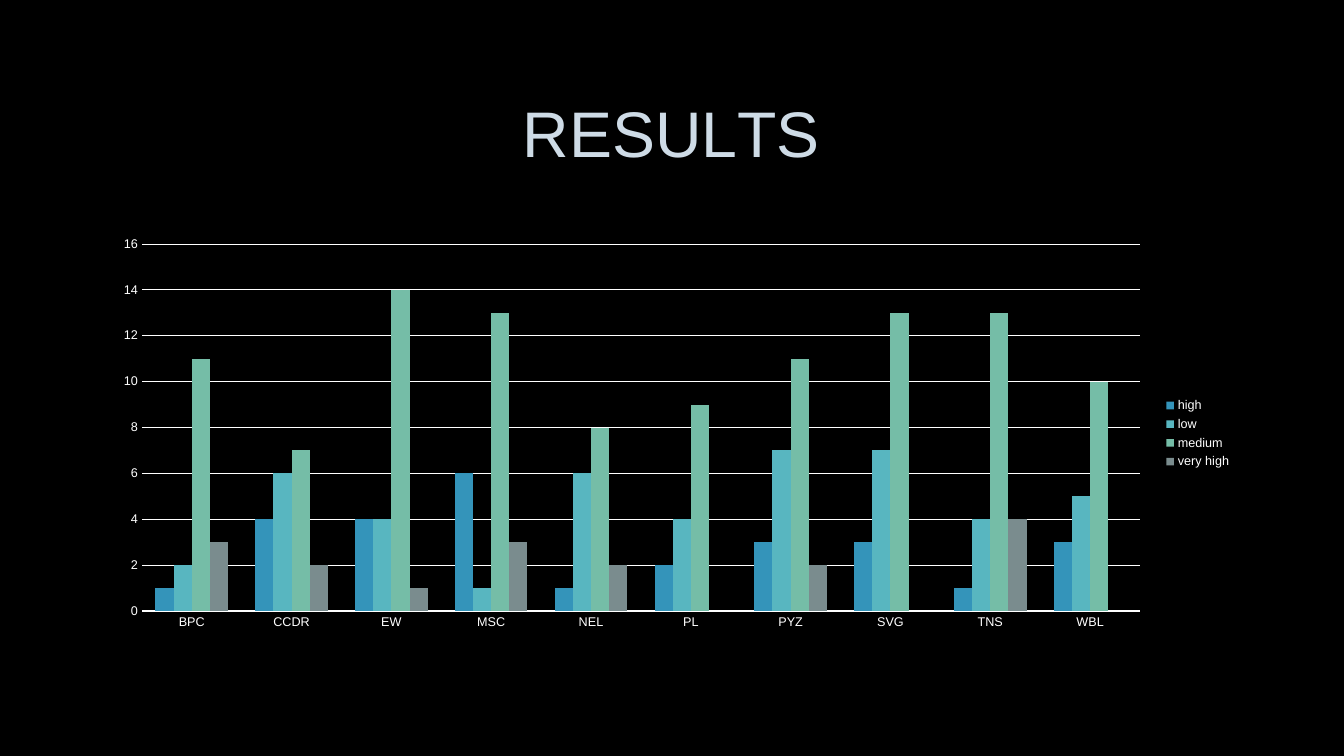
from lxml.etree import SubElement
from pptx import Presentation
from pptx.chart.data import CategoryChartData
from pptx.dml.color import RGBColor
from pptx.enum.chart import XL_CHART_TYPE, XL_LEGEND_POSITION, XL_TICK_MARK
from pptx.enum.text import MSO_ANCHOR, PP_ALIGN
from pptx.oxml.ns import qn
from pptx.util import Cm, Pt

BLACK = RGBColor(0x00, 0x00, 0x00)
WHITE = RGBColor(0xFF, 0xFF, 0xFF)
PALE_BLUE = RGBColor(0xCE, 0xDB, 0xE6)
BLUE = RGBColor(0x34, 0x94, 0xBA)
TEAL = RGBColor(0x58, 0xB6, 0xC0)
GREEN = RGBColor(0x75, 0xBD, 0xA7)
GREY = RGBColor(0x7A, 0x8C, 0x8E)

SITES = ["BPC", "CCDR", "EW", "MSC", "NEL", "PL", "PYZ", "SVG", "TNS", "WBL"]
LEVELS = [
    ("high", BLUE, [1, 4, 4, 6, 1, 2, 3, 3, 1, 3]),
    ("low", TEAL, [2, 6, 4, 1, 6, 4, 7, 7, 4, 5]),
    ("medium", GREEN, [11, 7, 14, 13, 8, 9, 11, 13, 13, 10]),
    ("very high", GREY, [3, 2, 1, 3, 2, None, 2, None, 4, None]),
]
LEFT, WIDTH = Cm(2.54), Cm(28.75)


class SlideBuilder:
    def __init__(self, slide, font_name="Arial"):
        self.slide = slide
        self.font_name = font_name
        fill = slide.background.fill
        fill.solid()
        fill.fore_color.rgb = BLACK

    def style_font(self, font, size, color):
        font.name = self.font_name
        font.size = Pt(size)
        font.color.rgb = color

    def title(self, pieces, top, height):
        """Fill the title from (text, letter spacing in points) pieces."""
        shape = self.slide.shapes.title
        shape.left, shape.top, shape.width, shape.height = LEFT, top, WIDTH, height
        shape.text_frame.vertical_anchor = MSO_ANCHOR.MIDDLE
        paragraph = shape.text_frame.paragraphs[0]
        paragraph.alignment = PP_ALIGN.CENTER
        paragraph.line_spacing = 0.9
        self.style_font(paragraph.font, 46, PALE_BLUE)
        for text, spacing in pieces:
            run = paragraph.add_run()
            run.text = text
            run.font._element.set("spc", str(spacing * 100))

    def column_chart(self, categories, levels, top, height):
        data = CategoryChartData()
        data.categories = categories
        for name, _, values in levels:
            data.add_series(name, values)
        chart = self.slide.shapes.add_chart(
            XL_CHART_TYPE.COLUMN_CLUSTERED, LEFT, top, WIDTH, height, data
        ).chart
        chart.has_title = False
        self.style_font(chart.font, 10, WHITE)

        plot = chart.plots[0]
        plot.gap_width = 150
        plot.overlap = 0
        plot.vary_by_categories = False
        for series, (_, color, _) in zip(plot.series, levels):
            series.format.fill.solid()
            series.format.fill.fore_color.rgb = color

        for axis in (chart.category_axis, chart.value_axis):
            axis.major_tick_mark = XL_TICK_MARK.NONE
            axis.minor_tick_mark = XL_TICK_MARK.NONE
            axis.format.line.fill.background()
            self.style_font(axis.tick_labels.font, 9, WHITE)
        chart.value_axis.minimum_scale = 0
        chart.value_axis.maximum_scale = 16
        chart.value_axis.major_unit = 2
        grid_line = chart.value_axis.major_gridlines.format.line
        grid_line.color.rgb = WHITE
        grid_line.width = Pt(0.75)

        chart.has_legend = True
        chart.legend.position = XL_LEGEND_POSITION.RIGHT
        chart.legend.include_in_layout = False
        self.style_font(chart.legend.font, 9, WHITE)
        self.place_plot_area(chart, x=0.036, y=0.037, w=0.875, h=0.897)

    def place_plot_area(self, chart, **fractions):
        """Set the inner plot area as fractions of the chart frame."""
        plot_area = chart._chartSpace.chart.plotArea
        layout = plot_area.find(qn("c:layout"))
        if layout is None:
            layout = SubElement(plot_area, qn("c:layout"))
            plot_area.insert(0, layout)
        manual = SubElement(layout, qn("c:manualLayout"))
        settings = {"layoutTarget": "inner", "xMode": "edge", "yMode": "edge", **fractions}
        for name, value in settings.items():
            SubElement(manual, qn(f"c:{name}")).set("val", str(value))


def main():
    presentation = Presentation()
    presentation.slide_width = Cm(33.87)
    presentation.slide_height = Cm(19.05)
    title_only = presentation.slide_layouts[5]
    builder = SlideBuilder(presentation.slides.add_slide(title_only))
    builder.title([("RESU", 0), ("L", -4), ("TS", 0)], Cm(1.7), Cm(3.5))
    builder.column_chart(SITES, LEVELS, Cm(5.77), Cm(10.31))
    presentation.save("out.pptx")


if __name__ == "__main__":
    main()
